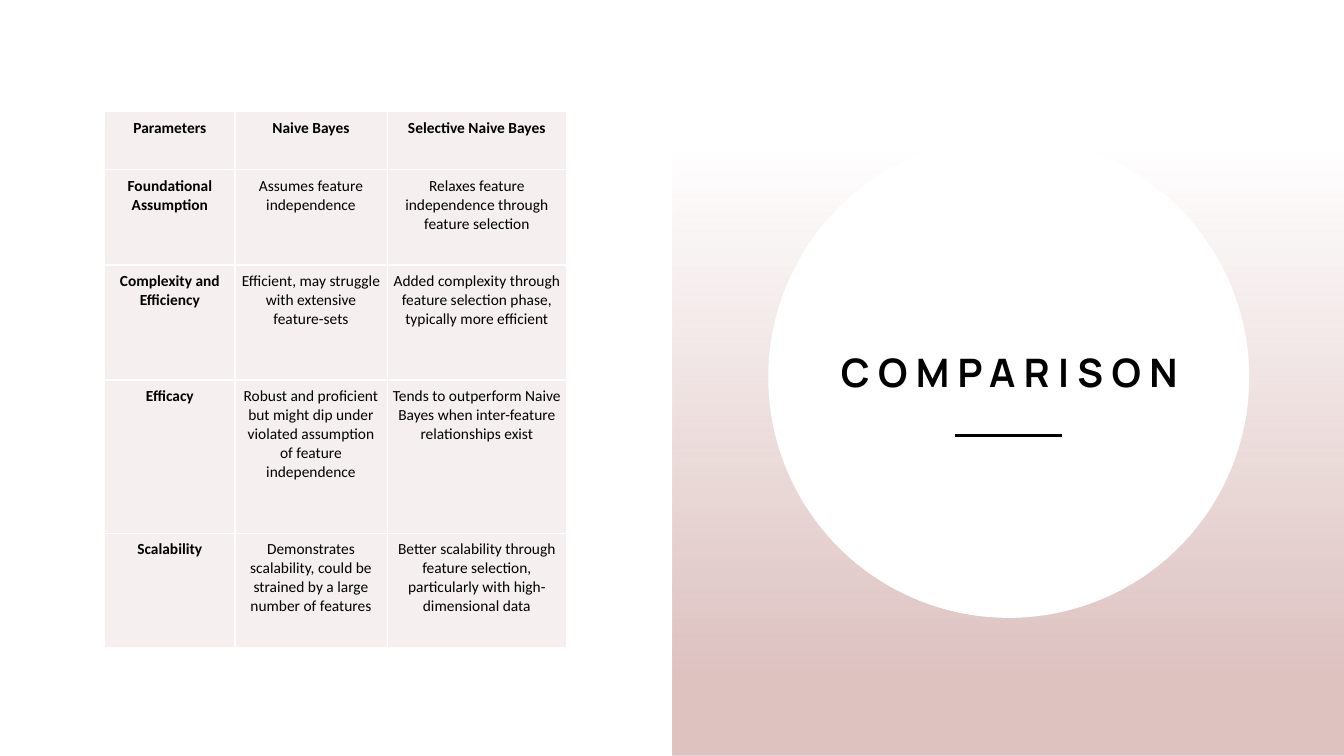
from dataclasses import dataclass

from lxml import etree
from pptx import Presentation
from pptx import util as u
from pptx.dml.color import RGBColor
from pptx.enum import shapes, text
from pptx.oxml import ns


@dataclass(frozen=True)
class Theme:
    """Colours, fonts and type sizes of the slide."""
    white: str = "FFFFFF"
    ink: str = "000000"
    rose: str = "DDC2C0"
    cell: str = "F5EFEF"
    title_font: str = "Manrope"
    table_font: str = "Calibri"
    title_size: int = 28
    table_size: int = 11


THEME = Theme()
COLUMN_WIDTHS = [1.29, 1.51, 1.78]
ROW_HEIGHTS = [0.57, 0.95, 1.14, 1.52, 1.14]
COMPARISON = [
    ["Parameters", "Naive Bayes", "Selective Naive Bayes"],
    ["Foundational Assumption", "Assumes feature independence",
     "Relaxes feature independence through feature selection"],
    ["Complexity and Efficiency", "Efficient, may struggle with extensive feature-sets",
     "Added complexity through feature selection phase, typically more efficient"],
    ["Efficacy",
     "Robust and proficient but might dip under violated assumption of feature independence",
     "Tends to outperform Naive Bayes when inter-feature relationships exist"],
    ["Scalability", "Demonstrates scalability, could be strained by a large number of features",
     "Better scalability through feature selection, particularly with high-dimensional data"],
]


def rgb(colour):
    """Turn a hex string into a colour."""
    return RGBColor.from_string(colour)


def style_paragraph(paragraph, font, size, bold):
    """Centre a paragraph and format its runs."""
    paragraph.alignment = text.PP_ALIGN.CENTER
    for run in paragraph.runs:
        run.font.name = font
        run.font.size = u.Pt(size)
        run.font.bold = bold
        run.font.color.rgb = rgb(THEME.ink)


def add_plain_shape(slide, kind, left, top, width, height):
    """Add a preset shape without outline or shadow."""
    shape = slide.shapes.add_shape(
        kind, u.Inches(left), u.Inches(top), u.Inches(width), u.Inches(height))
    shape.shadow.inherit = False
    shape.line.fill.background()
    return shape


def add_fading_panel(slide, left, top, width, height):
    """Add a panel that fades from clear at the top to rose at the bottom."""
    panel = add_plain_shape(slide, shapes.MSO_SHAPE.RECTANGLE, left, top, width, height)
    panel.fill.gradient()
    panel.fill.gradient_angle = 270
    for stop, position in zip(panel.fill.gradient_stops, (0.2, 0.9)):
        stop.position = position
        stop.color.rgb = rgb(THEME.rose)
    clear = panel.fill.gradient_stops[0].color._xFill.find(ns.qn("a:srgbClr")) \
        if hasattr(panel.fill.gradient_stops[0].color, "_xFill") \
        else next(panel._element.iter(ns.qn("a:srgbClr")))
    etree.SubElement(clear, ns.qn("a:alpha"), val="0")


def add_disc(slide, left, top, diameter):
    """Add the white disc behind the title."""
    disc = add_plain_shape(slide, shapes.MSO_SHAPE.OVAL, left, top, diameter, diameter)
    disc.fill.solid()
    disc.fill.fore_color.rgb = rgb(THEME.white)


def add_title(slide, wording, left, top, width, height):
    """Add the letterspaced title, resting on the bottom of its box."""
    title = slide.shapes.add_textbox(
        u.Inches(left), u.Inches(top), u.Inches(width), u.Inches(height)).text_frame
    title.word_wrap = True
    title.vertical_anchor = text.MSO_ANCHOR.BOTTOM
    title.text = wording
    heading = title.paragraphs[0]
    heading.line_spacing = 1.2
    style_paragraph(heading, THEME.title_font, THEME.title_size, True)
    heading.runs[0].font._element.set("spc", "600")


def add_rule(slide, left, right, y):
    """Add the short horizontal rule under the title."""
    rule = slide.shapes.add_connector(
        shapes.MSO_CONNECTOR.STRAIGHT,
        u.Inches(left), u.Inches(y), u.Inches(right), u.Inches(y))
    rule.line.color.rgb = rgb(THEME.ink)
    rule.line.width = u.Pt(2.5)
    etree.SubElement(rule._element.spPr, ns.qn("a:effectLst"))


def add_cell_borders(cell):
    """Give a cell a thin white line on each side."""
    properties = cell._tc.get_or_add_tcPr()
    for side in ("L", "R", "T", "B"):
        border = etree.SubElement(properties, ns.qn(f"a:ln{side}"), w=str(u.Pt(1)))
        fill = etree.SubElement(border, ns.qn("a:solidFill"))
        etree.SubElement(fill, ns.qn("a:srgbClr"), val=THEME.white)


def fill_cell(cell, wording, bold):
    """Write and style one table cell."""
    cell.margin_left = cell.margin_right = u.Inches(0.05)
    cell.margin_top = cell.margin_bottom = u.Inches(0.07)
    add_cell_borders(cell)
    cell.fill.solid()
    cell.fill.fore_color.rgb = rgb(THEME.cell)
    cell.text_frame.text = wording
    style_paragraph(cell.text_frame.paragraphs[0], THEME.table_font, THEME.table_size, bold)


def add_comparison_table(slide, left, top):
    """Add the table with a bold first row and first column."""
    table = slide.shapes.add_table(
        len(ROW_HEIGHTS), len(COLUMN_WIDTHS), u.Inches(left), u.Inches(top),
        u.Inches(sum(COLUMN_WIDTHS)), u.Inches(sum(ROW_HEIGHTS))).table
    table.first_row = table.horz_banding = False
    for column, width in zip(table.columns, COLUMN_WIDTHS):
        column.width = u.Inches(width)
    for row, height in zip(table.rows, ROW_HEIGHTS):
        row.height = u.Inches(height)
    for i, entries in enumerate(COMPARISON):
        for j, wording in enumerate(entries):
            fill_cell(table.cell(i, j), wording, i == 0 or j == 0)


def main():
    """Build and save the comparison slide."""
    deck = Presentation()
    deck.slide_width, deck.slide_height = u.Inches(13.33), u.Inches(7.5)
    slide = deck.slides.add_slide(deck.slide_layouts[6])
    add_fading_panel(slide, 6.67, 0, 6.67, 7.5)
    add_disc(slide, 7.62, 1.36, 4.77)
    add_title(slide, "COMPARISON", 7.86, 2.36, 4.3, 1.61)
    add_rule(slide, 9.47, 10.53, 4.32)
    add_comparison_table(slide, 1.04, 1.11)
    deck.save("out.pptx")


if __name__ == "__main__":
    main()
